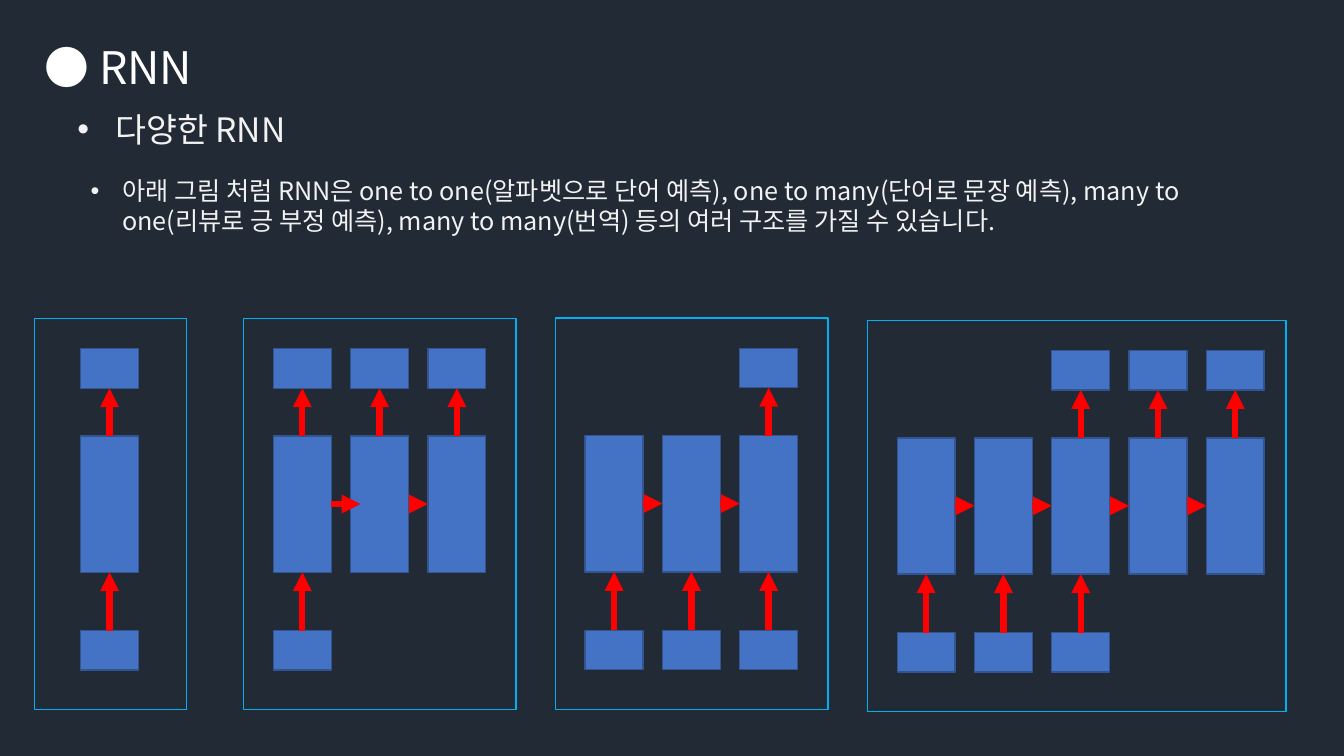
from dataclasses import dataclass

from lxml.etree import SubElement
from pptx import Presentation
from pptx.dml.color import RGBColor
from pptx.enum.shapes import MSO_CONNECTOR, MSO_SHAPE
from pptx.enum.text import MSO_AUTO_SIZE
from pptx.oxml.ns import qn
from pptx.slide import Slide
from pptx.util import Pt

FONT = "Noto Sans CJK KR"
BACKGROUND = "222A35"
WHITE = "FFFFFF"
LIGHT = "F2F2F2"
CELL_FILL = "4472C4"
CELL_LINE = "325491"
FRAME_LINE = "00B0F0"
ARROW = "FF0000"

CELL_WIDTH = 41.3
CELL_HEIGHT = 28.2
HIDDEN_HEIGHT = 97.3
COLUMN_STEP = 55.2
FRAME_HEIGHT = 279.4
OUTPUT_OFFSET = 21.6
HIDDEN_OFFSET = 84
INPUT_OFFSET = 223
LINK_OFFSET = 132.5


@dataclass(frozen=True)
class Network:
    left: float
    top: float
    width: float
    first_column: float
    hidden_count: int
    inputs: tuple[int, ...]
    outputs: tuple[int, ...]
    first_link_overlap: float = 0


NETWORKS = (
    Network(24.6, 227.5, 108.7, 57.6, 1, (0,), (0,)),
    Network(174.1, 227.5, 194.6, 195.3, 3, (0,), (0, 1, 2), 7),
    Network(396.8, 227.2, 194.6, 418, 3, (0, 1, 2), (2,)),
    Network(619.6, 228.8, 299, 640.9, 5, (0, 1, 2), (2, 3, 4)),
)


def color(value: str) -> RGBColor:
    return RGBColor.from_string(value)


def add_text(slide: Slide, text: str, *, left: float, top: float, width: float,
             height: float, size: float, fill: str, indent: float = 0) -> None:
    shape = slide.shapes.add_textbox(Pt(left), Pt(top), Pt(width), Pt(height))
    frame = shape.text_frame
    frame.word_wrap = True
    frame.auto_size = MSO_AUTO_SIZE.SHAPE_TO_FIT_TEXT
    paragraph = frame.paragraphs[0]
    run = paragraph.add_run()
    run.text = text
    run.font.size = Pt(size)
    run.font.name = FONT
    run.font.color.rgb = color(fill)
    SubElement(run.font._element, qn("a:ea"), typeface=FONT)
    if indent:
        properties = paragraph._p.get_or_add_pPr()
        properties.set("marL", str(Pt(indent)))
        properties.set("indent", str(-Pt(indent)))
        SubElement(properties, qn("a:buFont"), typeface="Arial")
        SubElement(properties, qn("a:buChar"), char="•")


def add_box(slide: Slide, left: float, top: float, width: float, height: float,
            line: str, fill: str | None = None) -> None:
    shape = slide.shapes.add_shape(
        MSO_SHAPE.RECTANGLE, Pt(left), Pt(top), Pt(width), Pt(height))
    shape.shadow.inherit = False
    shape.line.color.rgb = color(line)
    shape.line.width = Pt(1)
    if fill is None:
        shape.fill.background()
    else:
        shape.fill.solid()
        shape.fill.fore_color.rgb = color(fill)


def add_arrow(slide: Slide, start_x: float, start_y: float,
              end_x: float, end_y: float) -> None:
    connector = slide.shapes.add_connector(
        MSO_CONNECTOR.STRAIGHT, Pt(start_x), Pt(start_y), Pt(end_x), Pt(end_y))
    connector.line.color.rgb = color(ARROW)
    connector.line.width = Pt(4.5)
    SubElement(connector.line._get_or_add_ln(), qn("a:tailEnd"), type="triangle")
    SubElement(connector._element.spPr, qn("a:effectLst"))


def add_network(slide: Slide, network: Network) -> None:
    output_top = network.top + OUTPUT_OFFSET
    hidden_top = network.top + HIDDEN_OFFSET
    input_top = network.top + INPUT_OFFSET
    link_y = network.top + LINK_OFFSET
    columns = [network.first_column + COLUMN_STEP * index
               for index in range(network.hidden_count)]

    add_box(slide, network.left, network.top, network.width, FRAME_HEIGHT, FRAME_LINE)
    for left in columns:
        add_box(slide, left, hidden_top, CELL_WIDTH, HIDDEN_HEIGHT, CELL_LINE, CELL_FILL)
    for indexes, top in ((network.inputs, input_top), (network.outputs, output_top)):
        for index in indexes:
            add_box(slide, columns[index], top, CELL_WIDTH, CELL_HEIGHT,
                    CELL_LINE, CELL_FILL)

    arrow_rows = (
        (network.inputs, input_top, hidden_top + HIDDEN_HEIGHT),
        (network.outputs, hidden_top, output_top + CELL_HEIGHT),
    )
    for indexes, start_y, end_y in arrow_rows:
        for index in indexes:
            center = columns[index] + CELL_WIDTH / 2
            add_arrow(slide, center, start_y, center, end_y)
    for index, (left, following) in enumerate(zip(columns, columns[1:])):
        overlap = network.first_link_overlap if index == 0 else 0
        add_arrow(slide, left + CELL_WIDTH, link_y, following + overlap, link_y)


def main() -> None:
    presentation = Presentation()
    presentation.slide_width = Pt(960)
    presentation.slide_height = Pt(540)
    slide = presentation.slides.add_slide(presentation.slide_layouts[6])
    slide.background.fill.solid()
    slide.background.fill.fore_color.rgb = color(BACKGROUND)

    add_text(slide, "● RNN", left=24.5, top=24.5, width=654.5, height=46,
             size=32, fill=WHITE)
    add_text(slide, "다양한 RNN", left=48.2, top=74.2, width=822.2, height=36,
             size=24, fill=LIGHT, indent=27)
    add_text(slide,
             "아래 그림 처럼 RNN은 one to one(알파벳으로 단어 예측), "
             "one to many(단어로 문장 예측), many to one(리뷰로 긍 부정 예측), "
             "many to many(번역) 등의 여러 구조를 가질 수 있습니다.",
             left=57.6, top=121.7, width=844.6, height=51,
             size=18, fill=LIGHT, indent=22.5)
    for network in NETWORKS:
        add_network(slide, network)
    presentation.save("out.pptx")


if __name__ == "__main__":
    main()
